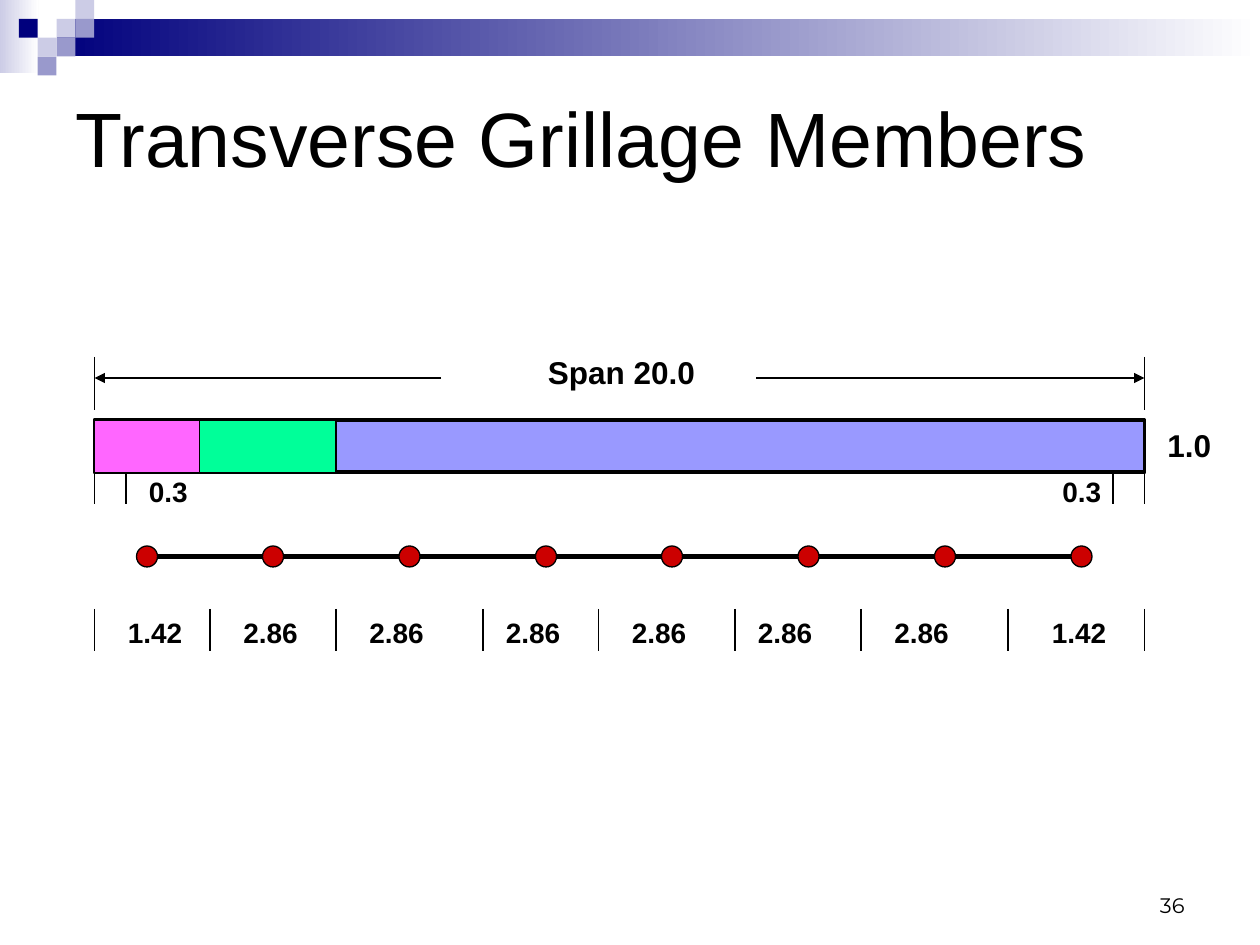
from dataclasses import dataclass

from lxml import etree
from pptx import Presentation
from pptx.dml.color import RGBColor
from pptx.enum.shapes import MSO_CONNECTOR, MSO_SHAPE
from pptx.enum.text import MSO_ANCHOR, PP_ALIGN
from pptx.oxml.ns import qn
from pptx.util import Cm, Pt

RECT, OVAL = MSO_SHAPE.RECTANGLE, MSO_SHAPE.OVAL
STRAIGHT = MSO_CONNECTOR.STRAIGHT
TOP, MIDDLE, BOTTOM = MSO_ANCHOR.TOP, MSO_ANCHOR.MIDDLE, MSO_ANCHOR.BOTTOM
LEFT, RIGHT = PP_ALIGN.LEFT, PP_ALIGN.RIGHT


@dataclass(frozen=True)
class Theme:
    ink: str = "000000"
    white: str = "FFFFFF"
    navy: str = "00007D"
    mist: str = "CCCCE6"
    haze: str = "9999CC"
    slab: str = "9999FF"
    edge_strip: str = "FF66FF"
    inner_strip: str = "00FF99"
    node: str = "CC0000"
    font: str = "Arial"
    number_font: str = "Montserrat"
    title_size: int = 44
    span_size: int = 18
    label_size: int = 16
    number_size: int = 12
    thin: float = 0.75
    outline: float = 2.25
    member: float = 3


@dataclass(frozen=True)
class Box:
    left: float
    top: float
    width: float
    height: float


THEME = Theme()
PITCH = 2.54 / 12  # drawing grid in cm; the 20 m span covers 100 steps
MOSAIC_CELL = 0.38
MOSAIC = [(3, 1, THEME.mist), (4, 0, THEME.mist), (4, 1, THEME.haze),
          (2, 2, THEME.mist), (1, 1, THEME.navy), (3, 2, THEME.haze),
          (2, 3, THEME.haze)]
STRIPS = [(0, 10, THEME.edge_strip), (10, 13, THEME.inner_strip)]
NODES = [5, 17, 30, 43, 55, 68, 81, 94]
SPACING_TICKS = [0, 11, 23, 37, 48, 61, 73, 87, 100]
SPACINGS = [(2, "1.42"), (13, "2.86"), (25, "2.86"), (38, "2.86"),
            (50, "2.86"), (62, "2.86"), (75, "2.86"), (90, "1.42")]


def on_grid(left, top, width, height):
    """Box given in grid steps."""
    return Box(*(n * PITCH for n in (left, top, width, height)))


def within(box, x, y, width, height):
    """Box in grid steps, measured from the corner of another box."""
    return Box(box.left + x * PITCH, box.top + y * PITCH,
               width * PITCH, height * PITCH)


def lengths(box):
    return Cm(box.left), Cm(box.top), Cm(box.width), Cm(box.height)


def add_block(slide, box, color, kind=RECT, line_width=None):
    block = slide.shapes.add_shape(kind, *lengths(box))
    block.shadow.inherit = False
    block.fill.solid()
    block.fill.fore_color.rgb = RGBColor.from_string(color)
    if line_width is None:
        block.line.fill.background()
    else:
        block.line.color.rgb = RGBColor.from_string(THEME.ink)
        block.line.width = Pt(line_width)
    return block


def add_fade(slide, box, color):
    """Rectangle that fades from the colour at its left to white."""
    fill = add_block(slide, box, color).fill
    fill.gradient()
    fill.gradient_angle = 0
    for stop, shade in zip(fill.gradient_stops, (color, THEME.white)):
        stop.color.rgb = RGBColor.from_string(shade)


def add_line(slide, box, start, end, width=THEME.thin, arrow=False):
    """Line between two points in grid steps from the box corner."""
    ends = [Cm(origin + n * PITCH) for point in (start, end)
            for origin, n in zip((box.left, box.top), point)]
    line = slide.shapes.add_connector(STRAIGHT, *ends)
    line.line.color.rgb = RGBColor.from_string(THEME.ink)
    line.line.width = Pt(width)
    if arrow:
        etree.SubElement(line.line._get_or_add_ln(), qn("a:tailEnd"), type="triangle")
    etree.SubElement(line._element.spPr, qn("a:effectLst"))


def add_text(slide, box, text, size, font=THEME.font, bold=True,
             anchor=TOP, align=LEFT):
    frame = slide.shapes.add_textbox(*lengths(box)).text_frame
    frame.word_wrap = True
    frame.vertical_anchor = anchor
    paragraph = frame.paragraphs[0]
    paragraph.text = text
    paragraph.alignment = align
    for name, value in {"name": font, "size": Pt(size), "bold": bold}.items():
        setattr(paragraph.font, name, value)
    paragraph.font.color.rgb = RGBColor.from_string(THEME.ink)


def header_band(slide, box):
    add_fade(slide, Box(box.left, box.top, 0.78, 1.47), THEME.mist)
    band_left = 3 * MOSAIC_CELL
    add_fade(slide, Box(box.left + band_left, box.top + MOSAIC_CELL,
                        box.width - band_left, 2 * MOSAIC_CELL), THEME.navy)
    for column, row, color in MOSAIC:
        add_block(slide, Box(box.left + column * MOSAIC_CELL,
                             box.top + row * MOSAIC_CELL,
                             MOSAIC_CELL, MOSAIC_CELL), color)


def span_dimension(slide, box):
    for x in (0, 100):
        add_line(slide, box, (x, 0), (x, 5))
    for start, end in ((33, 0), (63, 100)):
        add_line(slide, box, (start, 2), (end, 2), arrow=True)
    add_text(slide, within(box, 42, -1, 21, 4.8), "Span 20.0", THEME.span_size)


def deck_strip(slide, box):
    add_block(slide, box, THEME.slab, line_width=THEME.outline)
    for x, width, color in STRIPS:
        add_block(slide, within(box, x, 0, width, 5), color, line_width=THEME.thin)
    add_text(slide, within(box, 101, 0, 7, 4.8), "1.0", THEME.span_size)
    for x in (0, 3, 97, 100):
        add_line(slide, box, (x, 5), (x, 8))
    for x in (4, 91):
        add_text(slide, within(box, x, 4.6, 7, 4.4), "0.3", THEME.label_size)


def grillage_member(slide, box):
    add_line(slide, box, (NODES[0], 1), (NODES[-1], 1), THEME.member)
    for x in NODES:
        add_block(slide, within(box, x - 1, 0, 2, 2), THEME.node, OVAL, THEME.thin)


def node_spacings(slide, box):
    for x in SPACING_TICKS:
        add_line(slide, box, (x, 0), (x, 4))
    for x, spacing in SPACINGS:
        add_text(slide, within(box, x, 0, 8, 4.4), spacing, THEME.label_size)


def main():
    deck = Presentation()
    deck.slide_width, deck.slide_height = Cm(25.4), Cm(19.05)
    slide = deck.slides.add_slide(deck.slide_layouts[6])

    header_band(slide, Box(0, 0, 25.4, 1.52))
    add_text(slide, on_grid(6, 6, 108, 14), "Transverse Grillage Members",
             THEME.title_size, bold=False, anchor=MIDDLE)
    span_dimension(slide, on_grid(9, 34, 100, 5))
    deck_strip(slide, on_grid(9, 40, 100, 5))
    grillage_member(slide, on_grid(9, 52, 100, 2))
    node_spacings(slide, on_grid(9, 58, 100, 4))
    add_text(slide, on_grid(86, 82, 28, 6), "36", THEME.number_size,
             THEME.number_font, bold=False, anchor=BOTTOM, align=RIGHT)
    deck.save("out.pptx")


if __name__ == "__main__":
    main()
